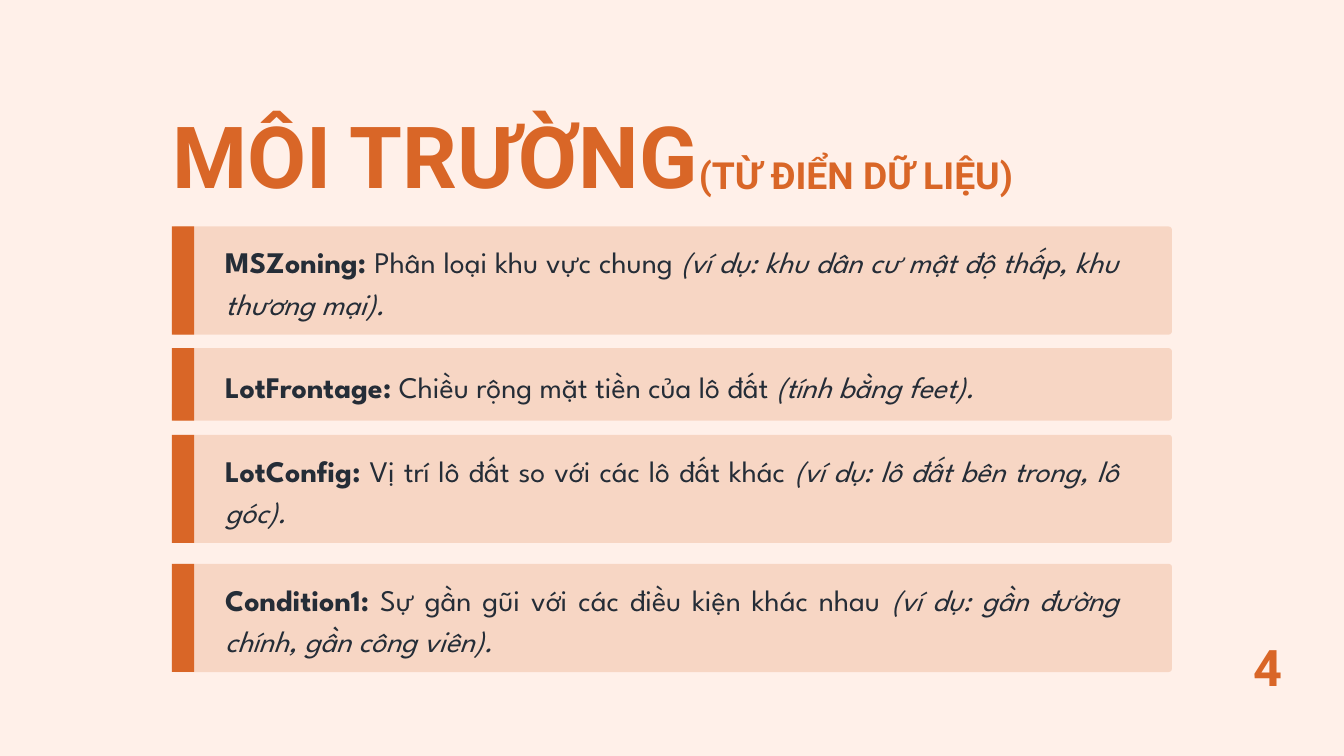
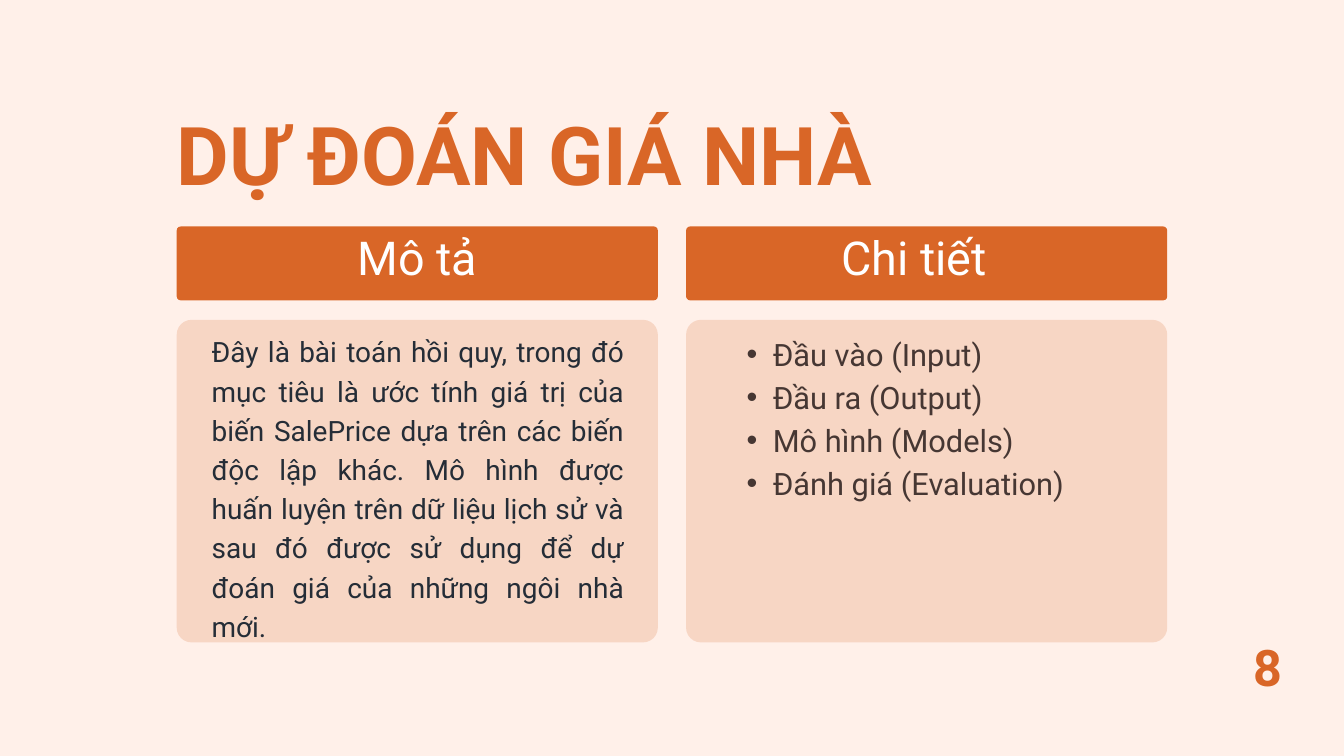
from dataclasses import dataclass

from lxml import etree
from pptx import Presentation
from pptx.dml.color import RGBColor
from pptx.enum.shapes import MSO_SHAPE
from pptx.enum.text import MSO_ANCHOR, MSO_AUTO_SIZE, PP_ALIGN
from pptx.oxml.ns import qn
from pptx.slide import Slide
from pptx.text.text import TextFrame
from pptx.util import Inches, Pt

ORANGE = RGBColor(0xD9, 0x66, 0x27)
INK = RGBColor(0x25, 0x2D, 0x37)
WHITE = RGBColor(0xFF, 0xFF, 0xFF)
CREAM = RGBColor(0xFF, 0xF0, 0xE9)

LEFT, CENTER, JUSTIFY = PP_ALIGN.LEFT, PP_ALIGN.CENTER, PP_ALIGN.JUSTIFY
TOP = MSO_ANCHOR.TOP
NO_AUTOFIT = MSO_AUTO_SIZE.NONE
RECTANGLE, ROUNDED = MSO_SHAPE.RECTANGLE, MSO_SHAPE.ROUNDED_RECTANGLE

TITLE_AND_CONTENT, TITLE_ONLY = 1, 5
CONTENT_TOP = 3.37
PALE_ALPHA = 19


@dataclass(frozen=True)
class Area:
    left: float
    top: float
    width: float
    height: float


@dataclass(frozen=True)
class TextStyle:
    size: float
    spacing: float
    color: RGBColor = INK
    align: PP_ALIGN = LEFT
    bold: bool = False
    font: str = "Roboto"


@dataclass(frozen=True)
class Term:
    name: str
    meaning: str
    example: str
    top: float
    height: float = 1.61
    text_offset: float = 0.17
    text_height: float = 1.2


@dataclass(frozen=True)
class Column:
    left: float
    heading: str
    heading_left: float
    heading_width: float


NUMBER = TextStyle(54, 43.2, ORANGE, CENTER, True)
SUBTITLE = TextStyle(40, 32, ORANGE, bold=True)
TERM = TextStyle(32, 44.8, align=JUSTIFY, font="League Spartan")
HEADING = TextStyle(50, 40, WHITE, CENTER)
DESCRIPTION = TextStyle(30, 42, align=JUSTIFY)
DETAIL = TextStyle(33, 46.2, align=JUSTIFY)

TERMS = [
    Term("MSZoning:", " Phân loại khu vực chung ",
         "(ví dụ: khu dân cư mật độ thấp, khu thương mại).", CONTENT_TOP),
    Term("LotFrontage:", " Chiều rộng mặt tiền của lô đất ",
         "(tính bằng feet).", 5.18, 1.08, 0.22, 0.59),
    Term("LotConfig:", " Vị trí lô đất so với các lô đất khác ",
         "(ví dụ: lô đất bên trong, lô góc).", 6.47),
    Term("Condition1:", " Sự gần gũi với các điều kiện khác nhau ",
         "(ví dụ: gần đường chính, gần công viên).", 8.39),
]
COLUMNS = [Column(2.63, "Mô tả", 3.66, 5.11), Column(10.21, "Chi tiết", 11, 5.21)]
DESCRIPTION_TEXT = (
    "Đây là bài toán hồi quy, trong đó mục tiêu là ước tính giá trị của biến "
    "SalePrice dựa trên các biến độc lập khác. Mô hình được huấn luyện trên dữ "
    "liệu lịch sử và sau đó được sử dụng để dự đoán giá của những ngôi nhà mới."
)
DETAILS = ["Đầu vào (Input)", "Đầu ra (Output)", "Mô hình (Models)", "Đánh giá (Evaluation)"]


def place(shape, area: Area) -> None:
    shape.left, shape.top = Inches(area.left), Inches(area.top)
    shape.width, shape.height = Inches(area.width), Inches(area.height)


def write(frame: TextFrame, lines: list[list[str]], style: TextStyle, bullets: bool = False) -> None:
    frame.word_wrap = True
    frame.auto_size = NO_AUTOFIT
    frame.vertical_anchor = TOP
    frame.margin_left = frame.margin_top = frame.margin_right = frame.margin_bottom = 0
    for index, spans in enumerate(lines):
        para = frame.add_paragraph() if index else frame.paragraphs[0]
        for words in spans:
            para.add_run().text = words
        para.alignment = style.align
        para.line_spacing = Pt(style.spacing)
        para.space_before = para.space_after = Pt(0)
        if bullets:
            para.level = 1
            properties = para._p.get_or_add_pPr()
            properties.set("marL", str(Inches(0.78)))
            properties.set("indent", str(Inches(-0.39)))
            etree.SubElement(properties, qn("a:buChar"), char="•")
        para.font.name = style.font
        para.font.size = Pt(style.size)
        para.font.color.rgb = style.color
        para.font.bold = style.bold


def add_text(page: Slide, area: Area, spans: list[str], style: TextStyle) -> TextFrame:
    box = page.shapes.add_textbox(0, 0, 0, 0)
    place(box, area)
    write(box.text_frame, [spans], style)
    return box.text_frame


def add_panel(page: Slide, area: Area, radius: float = 0, pale: bool = False) -> None:
    panel = page.shapes.add_shape(ROUNDED if radius else RECTANGLE, 0, 0, 0, 0)
    place(panel, area)
    if radius:
        panel.adjustments[0] = radius / min(area.width, area.height)
    panel.shadow.inherit = False
    panel.line.fill.background()
    panel.fill.solid()
    panel.fill.fore_color.rgb = ORANGE
    if pale:
        color = panel.element.spPr.find(".//" + qn("a:srgbClr"))
        etree.SubElement(color, qn("a:alpha"), val=str(PALE_ALPHA * 1000))


def add_page(deck, layout: int, title: str, area: Area, style: TextStyle, number: int) -> Slide:
    page = deck.slides.add_slide(deck.slide_layouts[layout])
    place(page.shapes.title, area)
    write(page.shapes.title.text_frame, [[title]], style)
    add_text(page, Area(18.29, 9.77, 1.16, 0.69), [str(number)], NUMBER)
    return page


def add_term(page: Slide, term: Term) -> None:
    add_panel(page, Area(2.56, term.top, 14.88, term.height), 0.05, pale=True)
    add_panel(page, Area(2.56, term.top, 0.33, term.height))
    area = Area(3.35, term.top + term.text_offset, 13.3, term.text_height)
    frame = add_text(page, area, [term.name, term.meaning, term.example], TERM)
    name, _, example = frame.paragraphs[0].runs
    name.font.bold = True
    example.font.italic = True


def add_column(page: Slide, column: Column) -> None:
    add_panel(page, Area(column.left, CONTENT_TOP, 7.16, 1.1), 0.06)
    add_panel(page, Area(column.left, 4.76, 7.16, 4.8), 0.22, pale=True)
    area = Area(column.heading_left, 3.69, column.heading_width, 0.64)
    add_text(page, area, [column.heading], HEADING)


def build_environment(deck) -> None:
    title_style = TextStyle(91.8, 73.5, ORANGE, bold=True)
    page = add_page(deck, TITLE_ONLY, "MÔI TRƯỜNG", Area(2.56, 2.04, 10.54, 1.15), title_style, 4)
    add_text(page, Area(10.4, 2.49, 5.77, 0.5), ["(TỪ ĐIỂN DỮ LIỆU)"], SUBTITLE)
    for term in TERMS:
        add_term(page, term)


def build_prediction(deck) -> None:
    title_style = TextStyle(86.8, 69.5, ORANGE, bold=True)
    page = add_page(deck, TITLE_AND_CONTENT, "DỰ ĐOÁN GIÁ NHÀ",
                    Area(2.63, 2.04, 12.07, 1.09), title_style, 8)
    for column in COLUMNS:
        add_column(page, column)
    add_text(page, Area(3.15, 4.9, 6.14, 4.67), [DESCRIPTION_TEXT], DESCRIPTION)
    details = page.placeholders[1]
    place(details, Area(10.72, 4.9, 6.14, 2.53))
    write(details.text_frame, [[detail] for detail in DETAILS], DETAIL, bullets=True)


def main() -> None:
    deck = Presentation()
    deck.slide_width, deck.slide_height = Inches(20), Inches(11.25)
    background = deck.slide_master.background.fill
    background.solid()
    background.fore_color.rgb = CREAM
    build_environment(deck)
    build_prediction(deck)
    deck.save("out.pptx")


if __name__ == "__main__":
    main()
